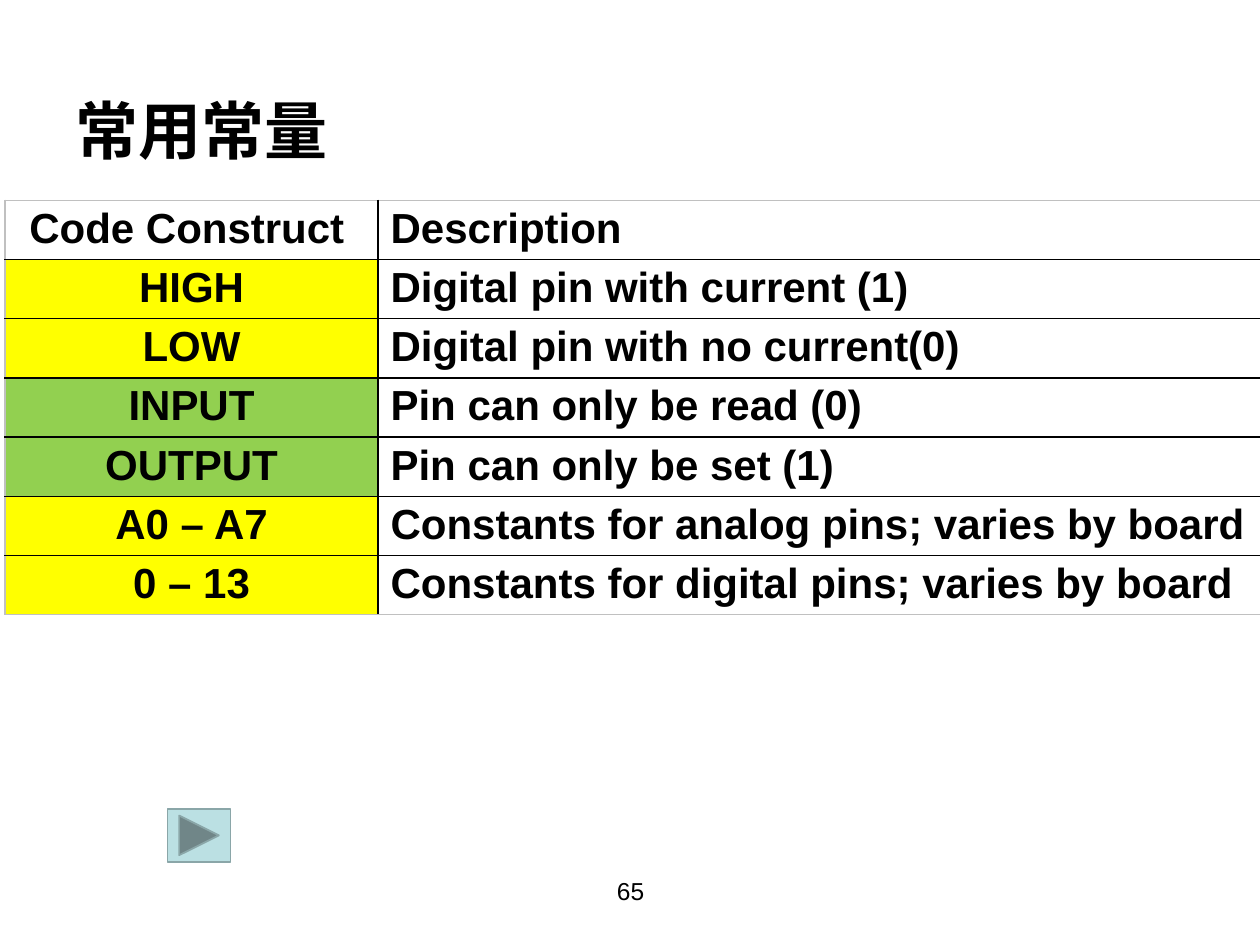
import pptx
import pptx.util
import pptx.dml.color
import pptx.enum.shapes
import pptx.enum.text
import pptx.oxml
import pptx.oxml.ns

Inches = pptx.util.Inches
RGBColor = pptx.dml.color.RGBColor
ALIGN = pptx.enum.text.PP_ALIGN
ANCHOR = pptx.enum.text.MSO_ANCHOR

BLACK = RGBColor(0x00, 0x00, 0x00)
YELLOW = RGBColor(0xFF, 0xFF, 0x00)
GREEN = RGBColor(0x92, 0xD0, 0x50)
GRAY = RGBColor(0xC0, 0xC0, 0xC0)
BUTTON_FILL = RGBColor(0xBB, 0xE0, 0xE3)
BUTTON_LINE = RGBColor(0x8A, 0xA6, 0xA8)


def add_text(paragraph, text, size, bold, alignment):
    paragraph.alignment = alignment
    run = paragraph.add_run()
    run.text = text
    run.font.name = "Arial"
    run.font.size = pptx.util.Pt(size)
    run.font.bold = bold
    run.font.color.rgb = BLACK


def set_borders(cell, colors):
    properties = cell._tc.get_or_add_tcPr()
    for index, (side, color) in enumerate(colors.items()):
        border = pptx.oxml.parse_xml(
            f'<a:{side} {pptx.oxml.ns.nsdecls("a")} w="12700"><a:solidFill>'
            f'<a:srgbClr val="{color}"/></a:solidFill></a:{side}>')
        properties.insert(index, border)


presentation = pptx.Presentation()
presentation.slide_width = Inches(10)
presentation.slide_height = Inches(7.5)
slide = presentation.slides.add_slide(presentation.slide_layouts[5])

# Title
title = slide.shapes.title
title.left, title.top = Inches(0.5), Inches(0.5)
title.width, title.height = Inches(9), Inches(1.05)
title.text_frame.vertical_anchor = ANCHOR.MIDDLE
add_text(title.text_frame.paragraphs[0], "常用常量", 36, True, ALIGN.LEFT)

# Table of constants
constants = [
    (" Code Construct", "Description", None),
    ("HIGH", "Digital pin with current (1)", YELLOW),
    ("LOW", "Digital pin with no current(0)", YELLOW),
    ("INPUT", "Pin can only be read (0)", GREEN),
    ("OUTPUT", "Pin can only be set (1)", GREEN),
    ("A0 – A7", "Constants for analog pins; varies by board", YELLOW),
    ("0 – 13", "Constants for digital pins; varies by board", YELLOW),
]
row_height = Inches(0.47)
last_row = len(constants) - 1
table = slide.shapes.add_table(
    len(constants), 2, Inches(0.04), Inches(1.59),
    Inches(10.09), row_height * len(constants)).table
table.first_row = False
table.horz_banding = False
table.columns[0].width = Inches(2.96)
table.columns[1].width = Inches(7.13)

for row, (construct, description, color) in enumerate(constants):
    table.rows[row].height = row_height
    for column, text in enumerate((construct, description)):
        cell = table.cell(row, column)
        cell.margin_top = cell.margin_bottom = Inches(0.04)
        if column == 0 and color is not None:
            cell.fill.solid()
            cell.fill.fore_color.rgb = color
        else:
            cell.fill.background()
        centred = column == 0 and row > 0
        add_text(cell.text_frame.paragraphs[0], text, 24, True,
                 ALIGN.CENTER if centred else ALIGN.LEFT)
        # Gray outer edges, black inner rules
        set_borders(cell, {
            "lnL": GRAY if column == 0 else BLACK,
            "lnR": GRAY if column == 1 else BLACK,
            "lnT": GRAY if row == 0 else BLACK,
            "lnB": GRAY if row == last_row else BLACK,
        })

# Slide number
number_box = slide.shapes.add_textbox(
    Inches(3.42), Inches(6.9), Inches(3.17), Inches(0.52))
number_box.text_frame.word_wrap = True
add_text(number_box.text_frame.paragraphs[0], "65", 14, False, ALIGN.CENTER)

# Forward button
button = slide.shapes.add_shape(
    pptx.enum.shapes.MSO_SHAPE.ACTION_BUTTON_FORWARD_OR_NEXT,
    Inches(1.33), Inches(6.42), Inches(0.5), Inches(0.42))
button.shadow.inherit = False
button.fill.solid()
button.fill.fore_color.rgb = BUTTON_FILL
button.line.color.rgb = BUTTON_LINE
button.line.width = pptx.util.Pt(1)

presentation.save("out.pptx")
